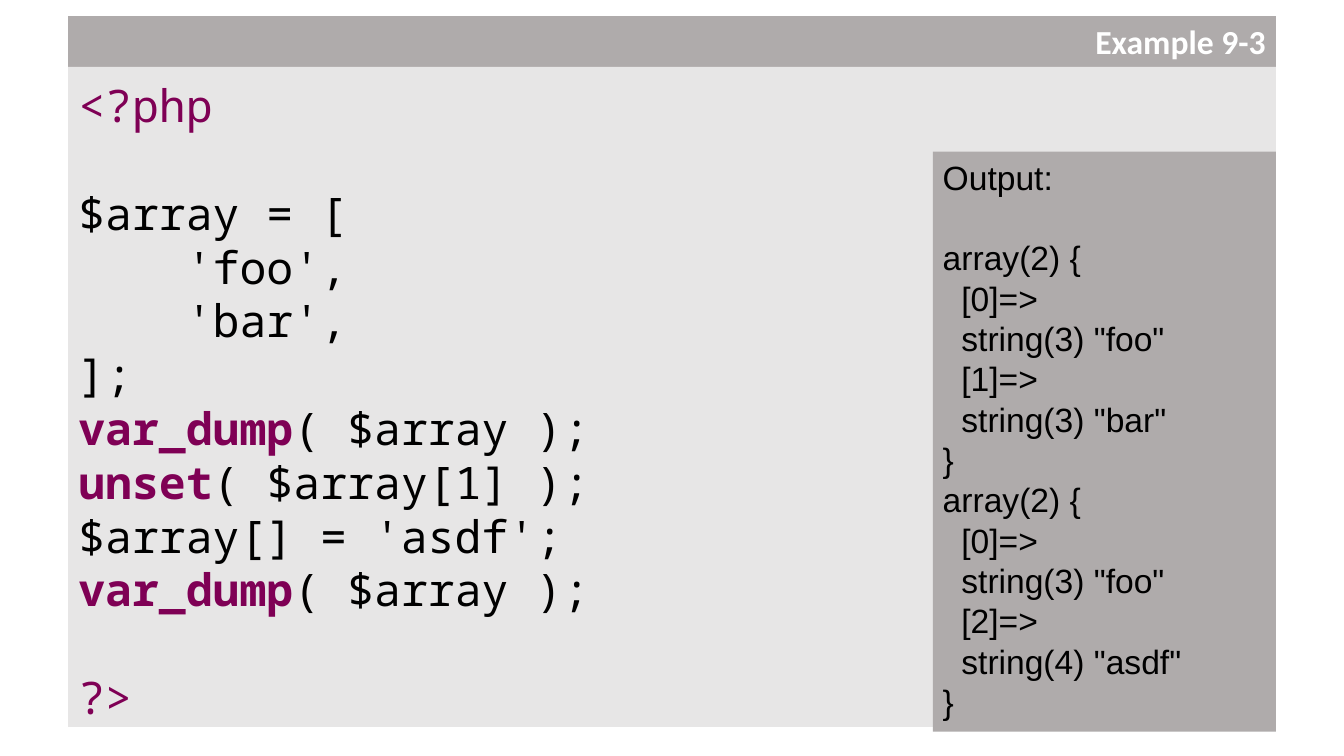
from dataclasses import dataclass

from lxml.etree import SubElement
from pptx import Presentation
from pptx.dml.color import RGBColor as Rgb
from pptx.enum.shapes import MSO_SHAPE as Shape
from pptx.enum.text import MSO_ANCHOR as Anchor, MSO_AUTO_SIZE as AutoSize, PP_ALIGN as Align
from pptx.oxml.ns import qn
from pptx.util import Pt


@dataclass(frozen=True)
class Theme:
    """Colours, fonts and type metrics of the slide."""
    panel: Rgb = Rgb(0xE7, 0xE6, 0xE6)
    bar: Rgb = Rgb(0xAF, 0xAB, 0xAB)
    keyword: Rgb = Rgb(0x7F, 0x00, 0x55)
    ink: Rgb = Rgb(0, 0, 0)
    white: Rgb = Rgb(0xFF, 0xFF, 0xFF)
    title_font: str = "Calibri"
    code_font: str = "Noto Sans Mono"
    output_font: str = "Arial"
    title_size: int = 24
    code_size: int = 32
    output_size: int = 24
    code_spacing: float = 1.0
    code_gap: float = 38.4
    output_pitch: float = 28.8


THEME = Theme()
LEFT, TOP, WIDTH, BAR_HEIGHT, BOTTOM = 48.7, 11.5, 862.6, 36.3, 519.3
OUTPUT_LEFT, OUTPUT_TOP, OUTPUT_HEIGHT = 666.3, 108.4, 414.3

CODE = """<?php

$array = [
    'foo',
    'bar',
];
var_dump( $array );
unset( $array[1] );
$array[] = 'asdf';
var_dump( $array );

?>"""

OUTPUT = """Output:

array(2) {
  [0]=>
  string(3) "foo"
  [1]=>
  string(3) "bar"
}
array(2) {
  [0]=>
  string(3) "foo"
  [2]=>
  string(4) "asdf"
}"""


def place(box, left, top, width, height, fill):
    """Position a box, fill it and prepare its text frame."""
    box.left, box.top, box.width, box.height = Pt(left), Pt(top), Pt(width), Pt(height)
    box.fill.solid()
    box.fill.fore_color.rgb = fill
    box.line.fill.background()
    frame = box.text_frame
    frame.word_wrap = True
    frame.auto_size = AutoSize.NONE
    frame.vertical_anchor = Anchor.TOP
    frame.margin_left = frame.margin_right = Pt(7.2)
    frame.margin_top = frame.margin_bottom = Pt(3.6)
    return frame


def add_span(para, text, font, size, color, bold=False):
    """Add one formatted run to a paragraph."""
    span = para.add_run()
    span.text = text
    span.font.name, span.font.size, span.font.bold = font, Pt(size), bold
    span.font.color.rgb = color


def remove_bullet(para):
    """Clear the bullet and indent of a paragraph."""
    properties = para._p.get_or_add_pPr()
    properties.set("marL", "0")
    properties.set("indent", "0")
    SubElement(properties, qn("a:buNone"))


def add_lines(frame, text, gap, spacing):
    """Yield a paragraph for each line, with a gap for each empty line."""
    before, para = 0, None
    for line in text.splitlines():
        if not line:
            before = gap
            continue
        para = frame.add_paragraph() if para else frame.paragraphs[0]
        para.alignment = Align.LEFT
        para.line_spacing = spacing
        para.space_before, para.space_after = Pt(before), Pt(0)
        before = 0
        yield para, line


def add_title(slide, text):
    """Set the title as a right-aligned bar."""
    frame = place(slide.shapes.title, LEFT, TOP, WIDTH, BAR_HEIGHT, THEME.bar)
    frame.vertical_anchor = Anchor.MIDDLE
    para = frame.paragraphs[0]
    para.alignment = Align.RIGHT
    add_span(para, text, THEME.title_font, THEME.title_size, THEME.white, True)


def add_code(slide, text):
    """Show the code in the body with tags and calls highlighted."""
    top = TOP + BAR_HEIGHT
    frame = place(slide.placeholders[1], LEFT, top, WIDTH, BOTTOM - top, THEME.panel)
    frame.margin_top = Pt(8)
    style = THEME.code_font, THEME.code_size
    for para, line in add_lines(frame, text, THEME.code_gap, THEME.code_spacing):
        remove_bullet(para)
        name, bracket, rest = line.partition("(")
        if bracket:
            add_span(para, name, *style, THEME.keyword, True)
            add_span(para, bracket + rest, *style, THEME.ink)
        else:
            color = THEME.keyword if "?" in line else THEME.ink
            add_span(para, line, *style, color)


def add_output(slide, text):
    """Show the program output in a panel at the right."""
    box = slide.shapes.add_shape(Shape.RECTANGLE, 0, 0, 0, 0)
    box.shadow.inherit = False
    width = LEFT + WIDTH - OUTPUT_LEFT
    frame = place(box, OUTPUT_LEFT, OUTPUT_TOP, width, OUTPUT_HEIGHT, THEME.bar)
    pitch = THEME.output_pitch
    for para, line in add_lines(frame, text, pitch, Pt(pitch)):
        add_span(para, line, THEME.output_font, THEME.output_size, THEME.ink)


def main():
    """Build and save the slide."""
    deck = Presentation()
    deck.slide_width, deck.slide_height = Pt(960), Pt(540)
    page = deck.slides.add_slide(deck.slide_layouts[1])
    add_title(page, "Example 9-3")
    add_code(page, CODE)
    add_output(page, OUTPUT)
    deck.save("out.pptx")


if __name__ == "__main__":
    main()
